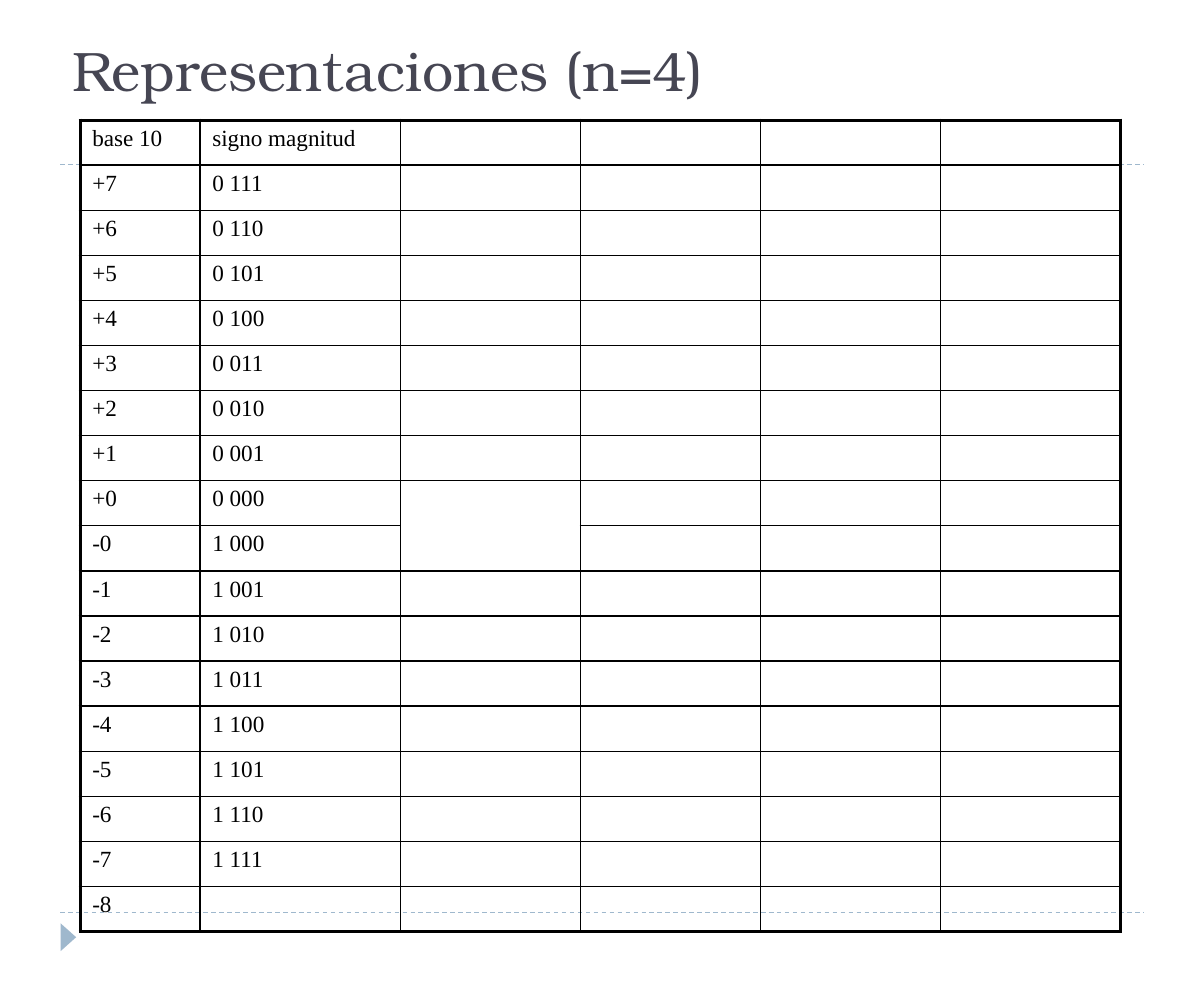
from lxml.etree import SubElement
from pptx import Presentation
from pptx.dml.color import RGBColor as Rgb
from pptx.enum.dml import MSO_LINE_DASH_STYLE as Dash
from pptx.enum.shapes import MSO_CONNECTOR as Connector, MSO_SHAPE as Preset
from pptx.enum.text import MSO_ANCHOR as Anchor, MSO_AUTO_SIZE as AutoSize, PP_ALIGN as Align
from pptx.oxml.ns import qn
from pptx.util import Inches, Pt

COLOURS = {"title": "464653", "accent": "9FB8CD", "ink": "000000"}
TITLE_FONT, TABLE_FONT = "TeX Gyre Bonum", "Times New Roman"
THIN, THICK = 1, 2.25


class SlideBuilder:
    def __init__(self, slide):
        self.slide = slide

    def colour(self, name):
        return Rgb.from_string(COLOURS[name])

    def add_text(self, paragraph, text, font, size, colour):
        run = paragraph.add_run()
        run.text = text
        run.font.name, run.font.size = font, Pt(size)
        run.font.color.rgb = self.colour(colour)

    def title(self, text, left, top, width, height):
        title = self.slide.shapes.title
        title.left, title.top = Inches(left), Inches(top)
        title.width, title.height = Inches(width), Inches(height)
        frame = title.text_frame
        frame.word_wrap, frame.auto_size = True, AutoSize.NONE
        frame.vertical_anchor = Anchor.BOTTOM
        frame.margin_left = frame.margin_right = Inches(0.11)
        frame.margin_top = frame.margin_bottom = Inches(0.06)
        frame.paragraphs[0].alignment = Align.LEFT
        self.add_text(frame.paragraphs[0], text, TITLE_FONT, 36, "title")

    def dashed_rule(self, left, right, y):
        rule = self.slide.shapes.add_connector(
            Connector.STRAIGHT, Inches(left), Inches(y), Inches(right), Inches(y))
        rule.line.color.rgb = self.colour("accent")
        rule.line.width, rule.line.dash_style = Pt(0.75), Dash.DASH
        SubElement(rule._element.spPr, qn("a:effectLst"))

    def marker(self, left, top, width, height):
        marker = self.slide.shapes.add_shape(
            Preset.ISOSCELES_TRIANGLE, Inches(left), Inches(top), Inches(width), Inches(height))
        marker.rotation = 90
        marker.shadow.inherit = False
        marker.fill.solid()
        marker.fill.fore_color.rgb = self.colour("accent")
        marker.line.fill.background()

    def border(self, cell, side, width):
        edge = SubElement(cell._tc.get_or_add_tcPr(), qn(f"a:ln{side}"), w=str(Pt(width)))
        SubElement(SubElement(edge, qn("a:solidFill")), qn("a:srgbClr"), val=COLOURS["ink"])

    def table(self, rows, column_widths, left, top, height):
        last_row, last_column = len(rows) - 1, len(column_widths) - 1
        table = self.slide.shapes.add_table(
            len(rows), len(column_widths), Inches(left), Inches(top),
            Inches(sum(column_widths)), Inches(height)).table
        table.first_row = table.horz_banding = False
        for column, width in zip(table.columns, column_widths):
            column.width = Inches(width)
        for r, texts in enumerate(rows):
            for c in range(len(column_widths)):
                cell = table.cell(r, c)
                outer = {"L": c == 0, "R": c == last_column, "T": r == 0, "B": r == last_row}
                for side, is_outer in outer.items():
                    self.border(cell, side, THICK if is_outer else THIN)
                cell.fill.background()
                cell.margin_left = cell.margin_right = Inches(0.11)
                cell.margin_top = cell.margin_bottom = Inches(0.05)
                if c < len(texts):
                    self.add_text(cell.text_frame.paragraphs[0], texts[c], TABLE_FONT, 15, "ink")
        return table


def main():
    deck = Presentation()
    deck.slide_width, deck.slide_height = Inches(10.83), Inches(8.86)
    page = SlideBuilder(deck.slides.add_slide(deck.slide_layouts[5]))

    # Page decoration
    for y in (8.21, 1.48):
        page.dashed_rule(0.54, 10.29, y)
    page.marker(0.49, 8.36, 0.25, 0.14)

    # Title
    page.title("Representaciones (n=4)", 0.54, 0, 9.93, 0.98)

    # Sign and magnitude of every four-bit value
    positives = [(f"+{n}", f"0 {n:03b}") for n in range(7, -1, -1)]
    negatives = [(f"-{n}", f"1 {n:03b}") for n in range(8)]
    rows = [("base 10", "signo magnitud"), *positives, *negatives, ("-8",)]
    numbers = page.table(rows, [1.08, 1.8] + [1.62] * 4, 0.72, 1.08, 7.28)

    # Both zeros share one cell in the third column
    plus_zero = len(positives)
    numbers.cell(plus_zero, 2).merge(numbers.cell(plus_zero + 1, 2))

    deck.save("out.pptx")


if __name__ == "__main__":
    main()
